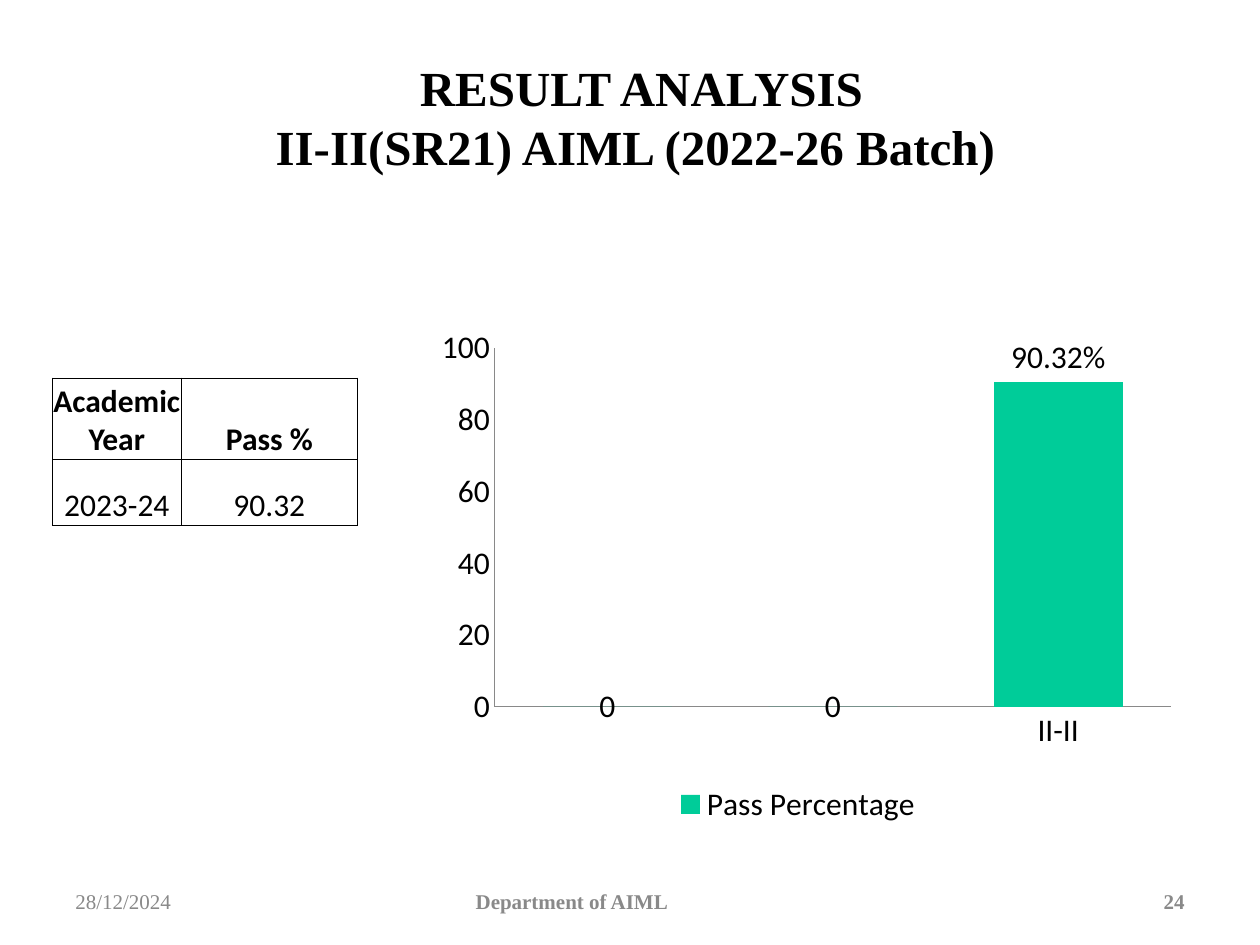
from dataclasses import dataclass

from lxml.etree import _Element as Node
from pptx import Presentation
from pptx.chart.data import CategoryChartData as ChartData
from pptx.dml.color import RGBColor
from pptx.enum.chart import XL_CHART_TYPE as Kind
from pptx.enum.chart import XL_LEGEND_POSITION as Side
from pptx.enum.chart import XL_TICK_MARK as Tick
from pptx.enum.text import MSO_ANCHOR as Anchor
from pptx.enum.text import PP_ALIGN as Align
from pptx.oxml import parse_xml
from pptx.oxml.ns import nsdecls
from pptx.slide import Slide
from pptx.util import Cm, Pt

BLACK = RGBColor(0, 0, 0)
GRAY = RGBColor(0x89, 0x89, 0x89)
GREEN = RGBColor(0, 0xCC, 0x99)
SERIF = "Times New Roman"
SANS = "Calibri"


@dataclass
class Label:
    lines: list[str]
    left: float
    width: float
    align: Align
    bold: bool = True
    top: float = 17.65
    height: float = 1.02
    size: int = 12
    color: RGBColor = GRAY


LABELS = [
    Label([" RESULT ANALYSIS", "II-II(SR21) AIML (2022-26 Batch)"],
          0.64, 24.33, Align.CENTER, True, 0.76, 3.18, 28, BLACK),
    Label(["24"], 18.21, 5.92, Align.RIGHT),
    Label(["Department of AIML"], 6.35, 10.36, Align.CENTER),
    Label(["28/12/2024"], 1.27, 5.92, Align.LEFT, False),
]
ROWS = [["Academic Year", "Pass %"], ["2023-24", "90.32"]]
WIDTHS = [2.59, 3.56]
HEIGHTS = [1.64, 1.33]


def style(font, name: str, size: int, color: RGBColor, bold: bool) -> None:
    font.name, font.size, font.bold = name, Pt(size), bold
    font.color.rgb = color


def add_label(slide: Slide, label: Label) -> None:
    box = slide.shapes.add_textbox(
        Cm(label.left), Cm(label.top), Cm(label.width), Cm(label.height))
    frame = box.text_frame
    frame.word_wrap = True
    frame.vertical_anchor = Anchor.MIDDLE
    para = frame.paragraphs[0]
    para.alignment = label.align
    for i, line in enumerate(label.lines):
        if i:
            para.add_line_break()
        para.add_run().text = line
    style(para.font, SERIF, label.size, label.color, label.bold)


def border(side: str) -> Node:
    return parse_xml(
        f'<a:{side} {nsdecls("a")} w="6350"><a:solidFill>'
        f'<a:srgbClr val="{BLACK}"/></a:solidFill></a:{side}>')


def add_grid(slide: Slide) -> None:
    table = slide.shapes.add_table(
        2, 2, Cm(1.06), Cm(7.62), Cm(sum(WIDTHS)), Cm(sum(HEIGHTS))).table
    table.first_row = table.horz_banding = False
    for col, width in zip(table.columns, WIDTHS):
        col.width = Cm(width)
    for r, (row, height) in enumerate(zip(table.rows, HEIGHTS)):
        row.height = Cm(height)
        for cell, text in zip(row.cells, ROWS[r]):
            cell.text = text
            cell.vertical_anchor = Anchor.BOTTOM
            cell.margin_left = cell.margin_right = 0
            cell.margin_top = cell.margin_bottom = 0
            para = cell.text_frame.paragraphs[0]
            para.alignment = Align.CENTER
            style(para.font, SANS, 18, BLACK, r == 0)
            props = cell._tc.get_or_add_tcPr()
            for side in ("lnL", "lnR", "lnT", "lnB"):
                props.append(border(side))
            cell.fill.background()


def layout(**parts: object) -> Node:
    tags = "".join(f'<c:{key} val="{val}"/>' for key, val in parts.items())
    return parse_xml(
        f'<c:layout {nsdecls("c")}><c:manualLayout>{tags}</c:manualLayout></c:layout>')


def add_bars(slide: Slide) -> None:
    data = ChartData()
    data.categories = ["", "", "II-II"]
    data.add_series("Pass Percentage", [0, 0, 90.32])
    chart = slide.shapes.add_chart(
        Kind.COLUMN_STACKED, Cm(8.25), Cm(5.93), Cm(15.67), Cm(10.8), data).chart
    style(chart.font, SANS, 18, BLACK, False)
    chart.has_title = False
    chart.has_legend = True
    chart.legend.position = Side.BOTTOM
    chart.legend.include_in_layout = False
    for axis in (chart.category_axis, chart.value_axis):
        axis.major_tick_mark = axis.minor_tick_mark = Tick.NONE
        axis.has_major_gridlines = False
        axis.format.line.color.rgb = GRAY
        axis.format.line.width = Pt(0.75)
    axis = chart.value_axis
    axis.minimum_scale, axis.maximum_scale, axis.major_unit = 0, 100, 20

    plot = chart.plots[0]
    plot.gap_width, plot.overlap = 75, 100
    plot.vary_by_categories = False
    bars = plot.series[0]
    bars.format.fill.solid()
    bars.format.fill.fore_color.rgb = GREEN
    bars.data_labels.show_value = True
    style(bars.data_labels.font, SANS, 18, BLACK, False)
    label = bars.points[2].data_label
    run = label.text_frame.paragraphs[0].add_run()
    run.text = "90.32%"
    style(run.font, SANS, 18, BLACK, False)
    bars._element.find(".//{*}dLbl").insert(1, layout(x=0, y=-0.35))
    for leader in bars._element.findall(".//{*}showLeaderLines"):
        leader.set("val", "0")

    area = chart._chartSpace.chart.plotArea
    for old in area.findall("{*}layout"):
        area.remove(old)
    area.insert(0, layout(layoutTarget="inner", xMode="edge", yMode="edge",
                          x=0.11, y=0.1, w=0.87, h=0.67))


def main() -> None:
    """Build the result analysis slide."""
    deck = Presentation()
    deck.slide_width, deck.slide_height = Cm(25.4), Cm(19.05)
    slide = deck.slides.add_slide(deck.slide_layouts[6])
    for label in LABELS:
        add_label(slide, label)
    add_grid(slide)
    add_bars(slide)
    deck.save("out.pptx")


if __name__ == "__main__":
    main()
